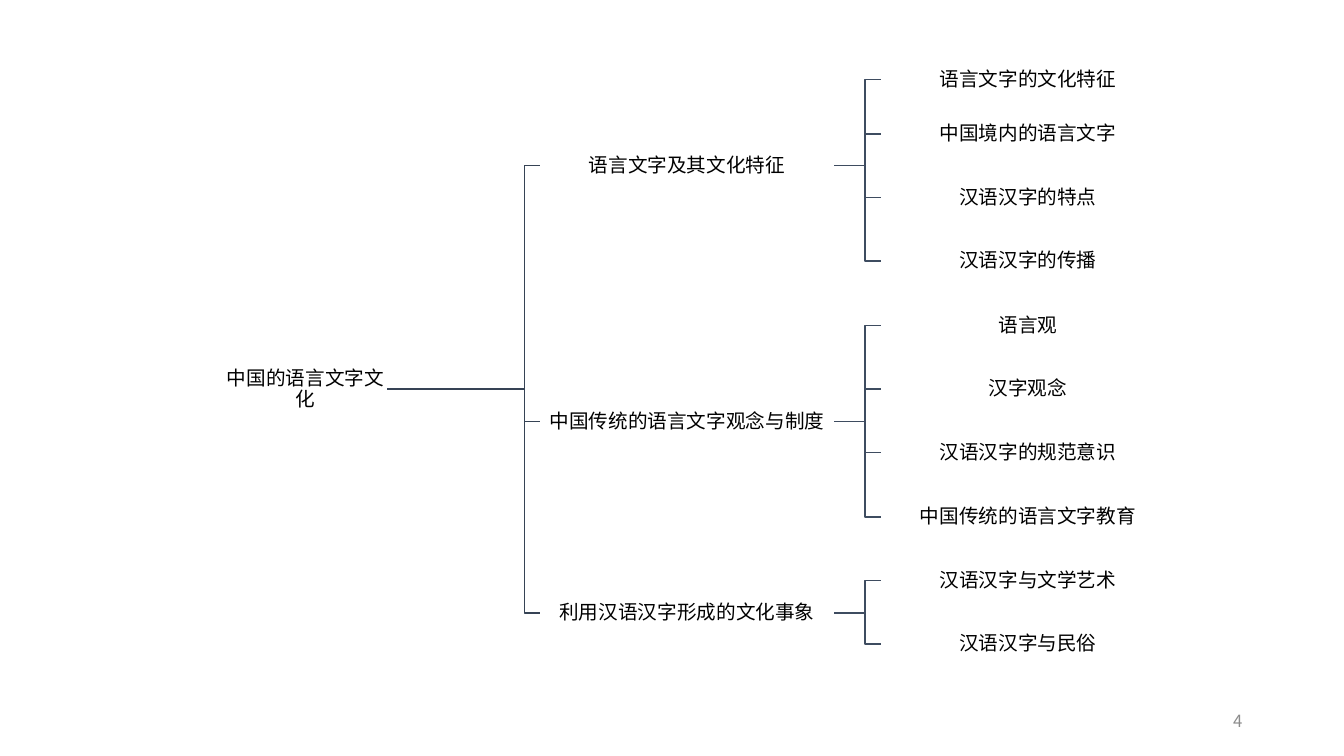
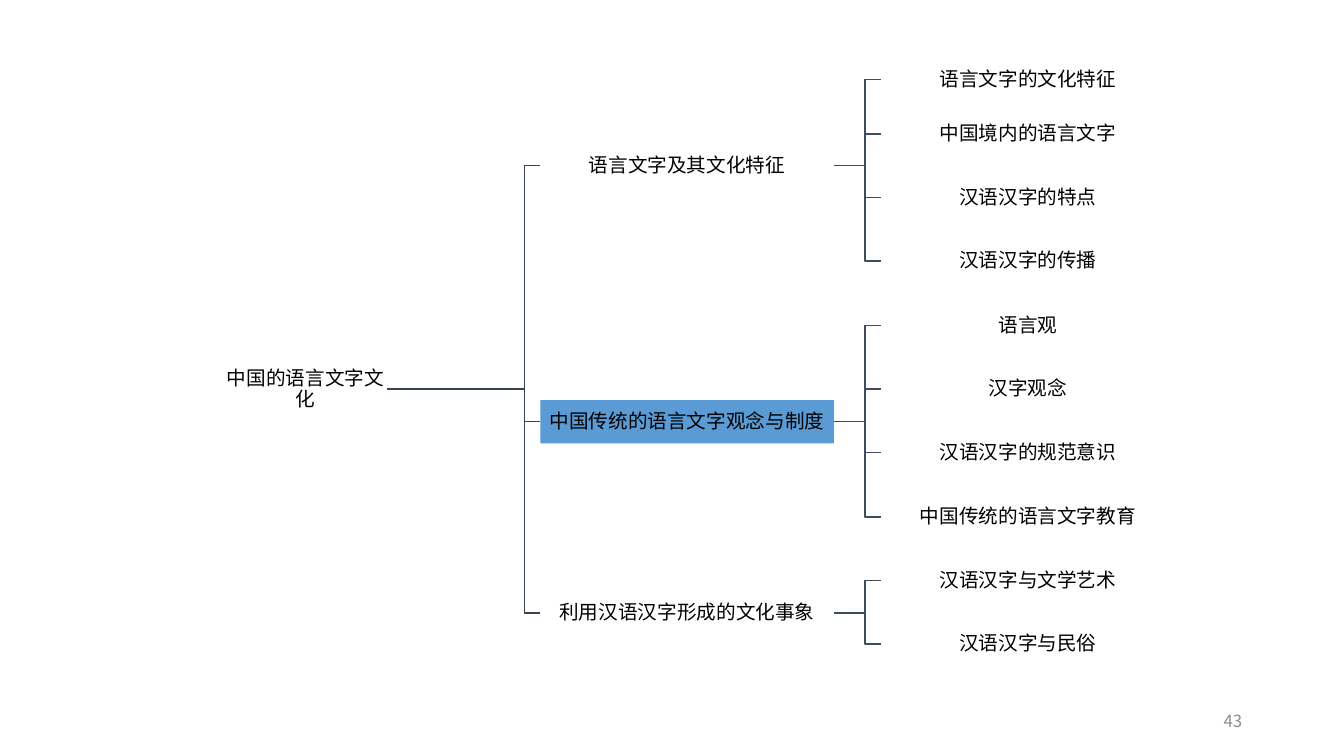
"""Builds two outline slides, each a tree of topics, the second with one topic marked."""
import dataclasses

import lxml.etree
import pptx
import pptx.dml.color
import pptx.enum.text
import pptx.oxml.ns
import pptx.util

PX = 9144


@dataclasses.dataclass(frozen=True)
class Theme:
    font: str = "Noto Sans CJK SC"
    ink: str = "000000"
    pale: str = "8C8C8C"
    paper: str = "FFFFFF"
    mark: str = "5B9BD5"
    trunk: str = "364355"
    twig: str = "3E4C60"
    body: int = 14
    foot: int = 12
    rule: int = 1


THEME = Theme()
ALIGN = pptx.enum.text.PP_ALIGN
ROOT = "中国的语言文字文化"
TREE = [
    ("语言文字及其文化特征",
     ["语言文字的文化特征", "中国境内的语言文字", "汉语汉字的特点", "汉语汉字的传播"]),
    ("中国传统的语言文字观念与制度",
     ["语言观", "汉字观念", "汉语汉字的规范意识", "中国传统的语言文字教育"]),
    ("利用汉语汉字形成的文化事象",
     ["汉语汉字与文学艺术", "汉语汉字与民俗"]),
]
ROOT_X, ROOT_W, ROOT_H = 222, 162, 49
STEM_X, LIMB_X, FORK_X, LEAF_X = 520, 536, 858, 874
BOX_W, BOX_H = 291, 43
DROP = 10


def color(code):
    return pptx.dml.color.RGBColor.from_string(code)


def write(shape, text, size, ink, align, inset=None):
    frame = shape.text_frame
    frame.word_wrap = True
    frame.vertical_anchor = pptx.enum.text.MSO_ANCHOR.MIDDLE
    if inset is not None:
        frame.margin_left = frame.margin_right = inset * PX
        frame.margin_top = frame.margin_bottom = inset * PX
    para = frame.paragraphs[0]
    para.alignment = align
    run = para.add_run()
    run.text = text
    run.font.size = pptx.util.Pt(size)
    run.font.name = THEME.font
    run.font.color.rgb = color(ink)
    east = lxml.etree.SubElement(run.font._element, pptx.oxml.ns.qn("a:ea"))
    east.set("typeface", THEME.font)
    return para


def node(group, text, left, mid, width=BOX_W, height=BOX_H, fill=None):
    top = mid - height // 2
    box = group.shapes.add_textbox(left * PX, top * PX, width * PX, height * PX)
    if fill:
        box.fill.solid()
        box.fill.fore_color.rgb = color(fill)
    para = write(box, text, THEME.body, THEME.ink, ALIGN.CENTER, 1)
    para.line_spacing = 0.9


def link(group, start, bend, end, ink):
    (left, high), (right, low) = start, end
    pen = group.shapes.build_freeform(left, high, scale=PX)
    pen.add_line_segments([(bend, high), (bend, low), (right, low)], close=False)
    line = pen.convert_to_shape()
    line.shadow.inherit = False
    line.fill.background()
    line.line.color.rgb = color(ink)
    line.line.width = pptx.util.Pt(THEME.rule)


def row(step):
    return (209 + 190 * step) // 3


def plan():
    limbs, step = [], 0
    for name, names in TREE:
        rows = [row(step + i) for i in range(len(names))]
        mid = (rows[0] + rows[-1] + 1) // 2
        if step == 0:
            rows[0] += DROP
        limbs.append((name, mid, list(zip(names, rows))))
        step += len(names)
    return limbs


def draw(slide, chosen=None):
    group = slide.shapes.add_group_shape()
    limbs = plan()
    mid = (limbs[0][1] + limbs[-1][1]) // 2
    for _, high, leaves in limbs:
        link(group, (ROOT_X + ROOT_W, mid), STEM_X, (LIMB_X, high), THEME.trunk)
        for _, low in leaves:
            link(group, (LIMB_X + BOX_W, high), FORK_X, (LEAF_X, low), THEME.twig)
    node(group, ROOT, ROOT_X, mid, ROOT_W, ROOT_H)
    for index, (name, high, leaves) in enumerate(limbs):
        fill = THEME.mark if index == chosen else THEME.paper
        node(group, name, LIMB_X, high, fill=fill)
        for leaf, low in leaves:
            node(group, leaf, LEAF_X, low, fill=THEME.paper)


def number(slide, page):
    box = slide.shapes.add_textbox(942 * PX, 695 * PX, 300 * PX, 40 * PX)
    write(box, str(page), THEME.foot, THEME.pale, ALIGN.RIGHT)


def main():
    deck = pptx.Presentation()
    deck.slide_width, deck.slide_height = 1333 * PX, 750 * PX
    for page, chosen in ((4, None), (43, 1)):
        slide = deck.slides.add_slide(deck.slide_layouts[6])
        number(slide, page)
        draw(slide, chosen)
    deck.save("out.pptx")


if __name__ == "__main__":
    main()
